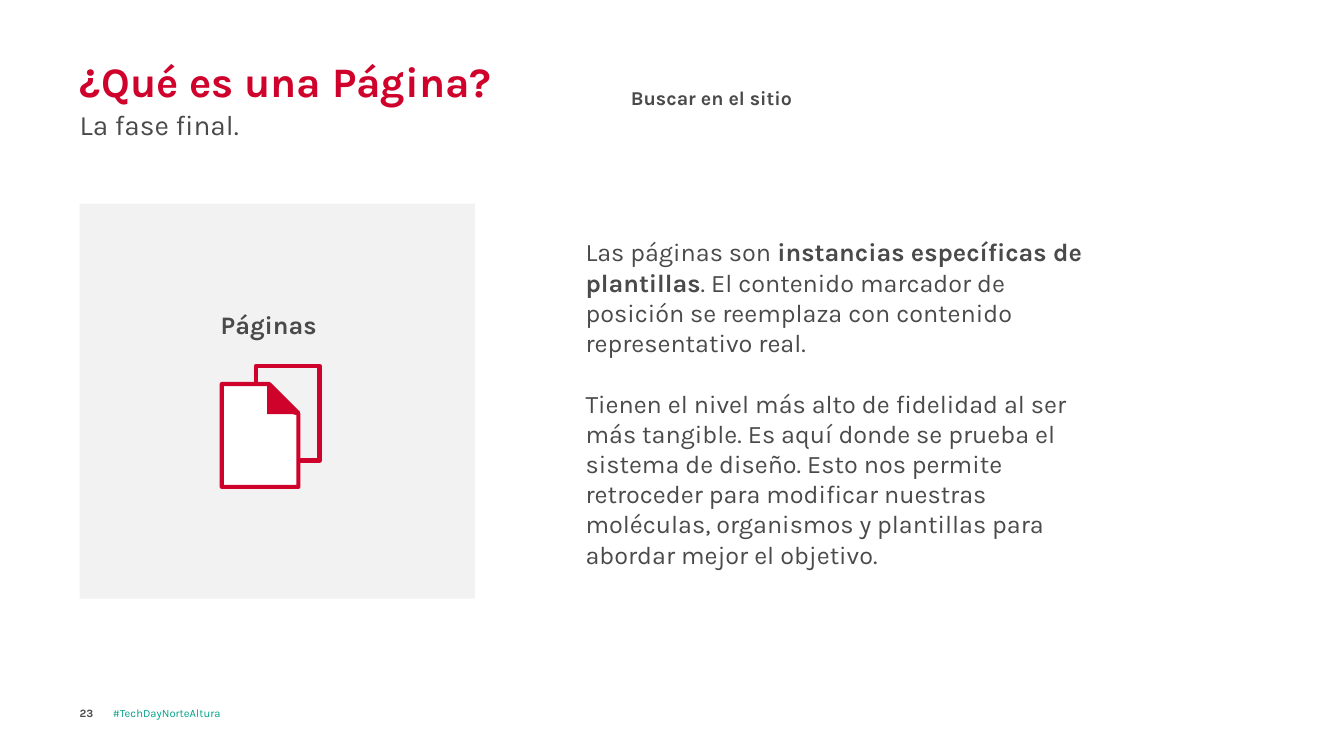
from dataclasses import dataclass

from pptx import Presentation
from pptx.dml.color import RGBColor
from pptx.enum.shapes import MSO_SHAPE
from pptx.enum.text import MSO_ANCHOR, MSO_AUTO_SIZE, PP_ALIGN
from pptx.oxml.ns import qn
from pptx.oxml.xmlchemy import OxmlElement
from pptx.util import Inches, Pt


@dataclass(frozen=True)
class Theme:
    font: str = "Karla"
    red: str = "CF022B"
    ink: str = "4A4A4A"
    teal: str = "00A188"
    gray: str = "F2F2F2"
    white: str = "FFFFFF"
    head: int = 30
    sub: int = 20
    body: int = 18
    label: int = 14
    foot: int = 8
    gap: float = 21.5
    line: int = 3


theme = Theme()
deck = Presentation()
deck.slide_width, deck.slide_height = Inches(13.33), Inches(7.5)
slide = deck.slides.add_slide(deck.slide_layouts[1])


def write(box, paras, size, color, bold=None, inset=True, anchor=MSO_ANCHOR.TOP):
    """Fill a box with paragraphs, each a list of (text, bold) runs."""
    frame = box.text_frame
    frame.word_wrap = True
    frame.auto_size = MSO_AUTO_SIZE.NONE
    frame.vertical_anchor = anchor
    if not inset:
        frame.margin_left = frame.margin_right = 0
        frame.margin_top = frame.margin_bottom = 0
    for i, runs in enumerate(paras):
        para = frame.add_paragraph() if i else frame.paragraphs[0]
        para.alignment = PP_ALIGN.LEFT
        para.space_before = Pt(theme.gap if i else 0)
        if box.is_placeholder:
            props = para._p.get_or_add_pPr()
            props.set("marL", "0")
            props.set("indent", "0")
            props.append(OxmlElement("a:buNone"))
        font = para.font
        font.name, font.size, font.bold = theme.font, Pt(size), bold
        font.color.rgb = RGBColor.from_string(color)
        for text, strong in runs:
            run = para.add_run()
            run.text = text
            if strong:
                run.font.bold = True


def draw(kind, area, fill=None, line=None):
    shape = slide.shapes.add_shape(kind, *map(Inches, area))
    shape.shadow.inherit = False
    if fill:
        shape.fill.solid()
        shape.fill.fore_color.rgb = RGBColor.from_string(fill)
    else:
        shape.fill.background()
    if line:
        shape.line.color.rgb = RGBColor.from_string(line)
        shape.line.width = Pt(theme.line)
    else:
        shape.line.fill.background()
    return shape


# Title and subtitle
title, sub = slide.placeholders
heads = [
    (title, (0.79, 0.03, 9.35, 1.02), "¿Qué es una Página?",
     theme.head, theme.red, True, MSO_ANCHOR.BOTTOM),
    (sub, (0.79, 1.07, 11.76, 0.39), "La fase final.",
     theme.sub, theme.ink, False, MSO_ANCHOR.TOP),
]
for box, area, text, size, color, bold, anchor in heads:
    box.left, box.top, box.width, box.height = map(Inches, area)
    write(box, [[(text, False)]], size, color, bold, False, anchor)

# Panel with the page icon
draw(MSO_SHAPE.RECTANGLE, (0.79, 2.02, 3.92, 3.92), theme.gray)
draw(MSO_SHAPE.RECTANGLE, (2.54, 3.63, 0.63, 0.94), line=theme.red)
page = draw(MSO_SHAPE.FOLDED_CORNER, (2.2, 3.81, 0.76, 1.02), theme.white, theme.red)
page.rotation = 180
props = page._element.spPr
props.find(qn("a:xfrm")).set("flipH", "1")
fold = OxmlElement("a:gd")
fold.set("name", "adj")
fold.set("fmla", "val 38200")
props.find(qn("a:prstGeom")).find(qn("a:avLst")).append(fold)
draw(MSO_SHAPE.RIGHT_TRIANGLE, (2.65, 3.81, 0.3, 0.3), theme.red)

# Labels, footer and main text
about = [
    [("Las páginas son ", False),
     ("instancias específicas de plantillas", True),
     (". El contenido marcador de posición se reemplaza con contenido "
      "representativo real.", False)],
    [("Tienen el nivel más alto de fidelidad al ser más tangible. Es aquí donde "
      "se prueba el sistema de diseño. Esto nos permite retroceder para modificar "
      "nuestras moléculas, organismos y plantillas para abordar mejor el objetivo.",
      False)],
]
foot = {"inset": False, "anchor": MSO_ANCHOR.MIDDLE}
texts = [
    ((6.16, 0.8, 2.43, 0.34), [[("Buscar en el sitio", False)]],
     theme.label, theme.ink, True, {}),
    ((2.09, 3.02, 1.28, 0.4), [[("Páginas", False)]],
     theme.body, theme.ink, True, {}),
    ((5.71, 2.3, 5.34, 3.43), about, theme.body, theme.ink, None, {}),
    ((0.79, 6.93, 0.39, 0.28), [[("23", False)]],
     theme.foot, theme.ink, True, foot),
    ((1.12, 6.93, 3.94, 0.28), [[("#TechDayNorteAltura", False)]],
     theme.foot, theme.teal, None, foot),
]
for area, paras, size, color, bold, rest in texts:
    box = slide.shapes.add_textbox(*map(Inches, area))
    write(box, paras, size, color, bold, **rest)

deck.save("out.pptx")
